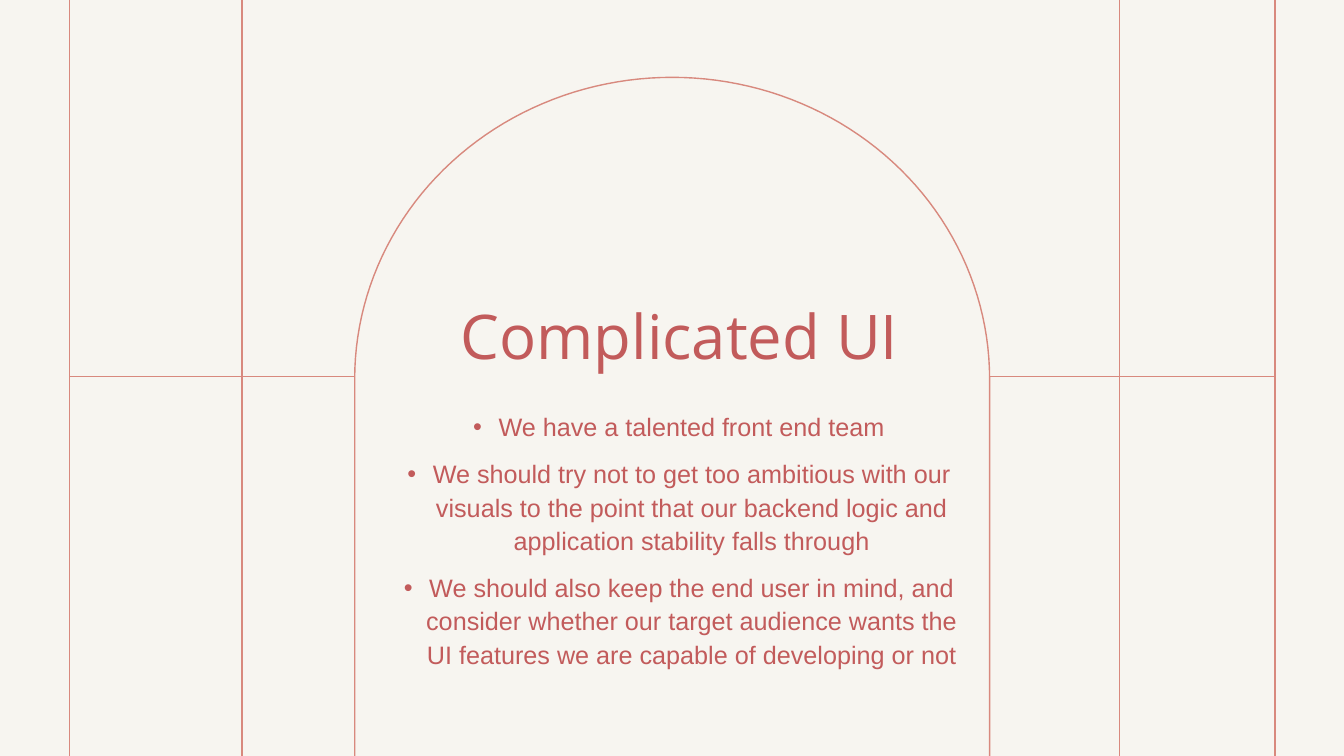
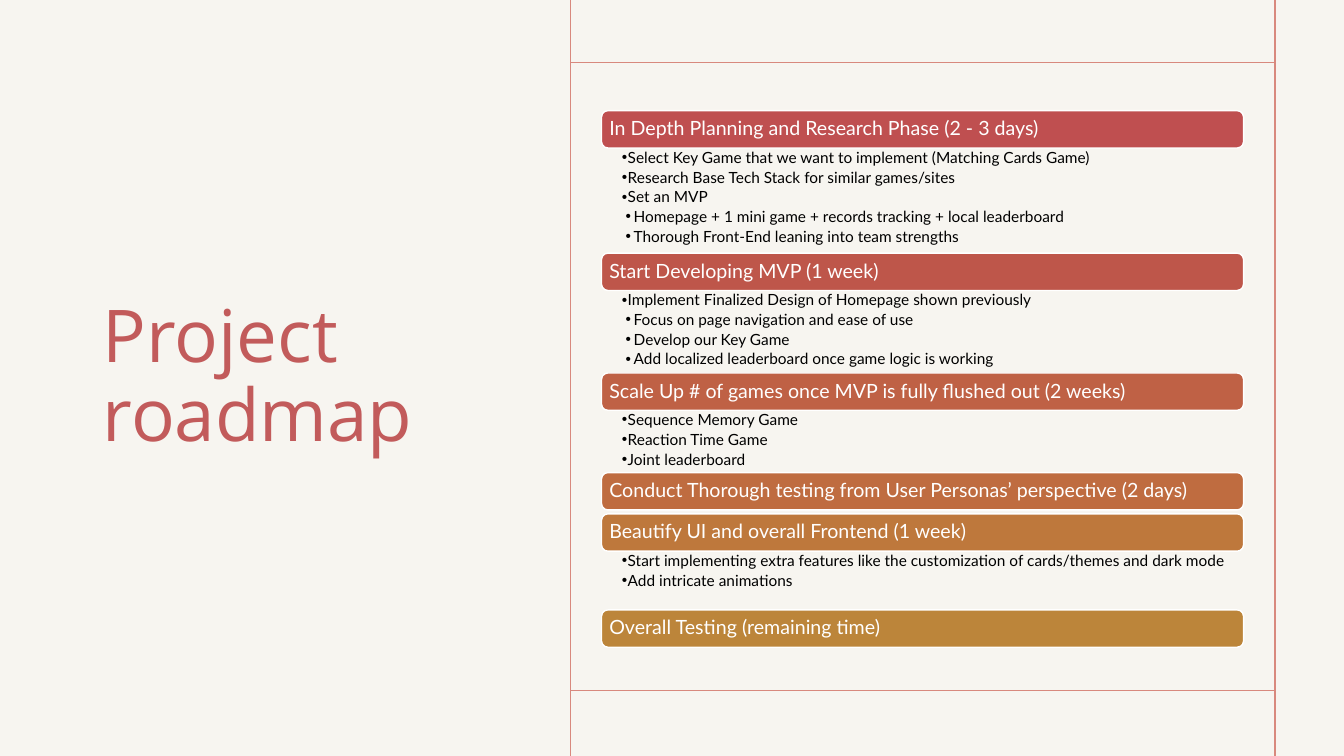
from math import cos, pi, sin

from lxml.etree import SubElement
from pptx import Presentation
from pptx.dml.color import RGBColor
from pptx.enum.shapes import MSO_CONNECTOR, MSO_SHAPE
from pptx.enum.text import MSO_ANCHOR, MSO_AUTO_SIZE, PP_ALIGN
from pptx.oxml.ns import qn
from pptx.util import Cm, Pt

WIDE, HIGH = 33.87, 19.05
PAGE = (0, 0, WIDE, HIGH)
INK = {
    "paper": "F7F5F0",
    "line": "D8897E",
    "title": "C25B5B",
    "text": "000000",
    "white": "FFFFFF",
}
HEAD, BODY, LABEL = "Open Sans", "Arial", "Lato"

POINTS = [
    "We have a talented front end team",
    "We should try not to get too ambitious with our visuals to the point "
    "that our backend logic and application stability falls through",
    "We should also keep the end user in mind, and consider whether our "
    "target audience wants the UI features we are capable of developing or not",
]

# Each phase: bar colour, heading, space below the bar in cm, (level, item) pairs
PHASES = [
    ("BF4F50", "In Depth Planning and Research Phase (2 - 3 days)", 2.65, [
        (1, "Select Key Game that we want to implement (Matching Cards Game)"),
        (1, "Research Base Tech Stack for similar games/sites"),
        (1, "Set an MVP"),
        (2, "Homepage + 1 mini game + records tracking + local leaderboard"),
        (2, "Thorough Front-End leaning into team strengths"),
    ]),
    ("BE564A", "Start Developing MVP (1 week)", 2.08, [
        (1, "Implement Finalized Design of Homepage shown previously"),
        (2, "Focus on page navigation and ease of use"),
        (2, "Develop our Key Game"),
        (2, "Add localized leaderboard once game logic is working"),
    ]),
    ("BF6145", "Scale Up # of games once MVP is fully flushed out (2 weeks)", 1.57, [
        (1, "Sequence Memory Game"),
        (1, "Reaction Time Game"),
        (1, "Joint leaderboard"),
    ]),
    ("BF6C40", "Conduct Thorough testing from User Personas’ perspective (2 days)",
     0.1, []),
    ("BE783C", "Beautify UI and overall Frontend (1 week)", 1.48, [
        (1, "Start implementing extra features like the customization of "
            "cards/themes and dark mode"),
        (1, "Add intricate animations"),
    ]),
    ("BC853A", "Overall Testing (remaining time)", 0, []),
]


def tint(code):
    return RGBColor.from_string(code)


def cms(box):
    return [Cm(size) for size in box]


def stroke(line, code):
    line.color.rgb = tint(code)
    line.width = Pt(1)


def rule(slide, x1, y1, x2, y2):
    """Draw one thin line of the grid."""
    line = slide.shapes.add_connector(
        MSO_CONNECTOR.STRAIGHT, *cms((x1, y1, x2, y2)))
    stroke(line.line, INK["line"])
    SubElement(line._element.spPr, qn("a:effectLst"))


def style(frame, font, size, code, align=PP_ALIGN.LEFT, space=0.9, gap=0):
    """Format all text; gap is the space in points between paragraphs."""
    for spot, para in enumerate(frame.paragraphs):
        para.alignment = align
        para.line_spacing = space
        para.space_before = Pt(gap if spot else 0)
        for run in para.runs:
            run.font.name = font
            run.font.size = Pt(size)
            run.font.color.rgb = tint(code)


def inset(frame, left, top, right, low):
    frame.word_wrap = True
    frame.auto_size = MSO_AUTO_SIZE.NONE
    frame.margin_left, frame.margin_top = Cm(left), Cm(top)
    frame.margin_right, frame.margin_bottom = Cm(right), Cm(low)


def bullet(para, left, hang):
    props = para._p.get_or_add_pPr()
    props.set("marL", str(Cm(left)))
    props.set("indent", str(-Cm(hang)))
    SubElement(props, qn("a:buFont")).set("typeface", "Arial")
    SubElement(props, qn("a:buChar")).set("char", "•")


def title(slide, box, text, size, align, anchor):
    shape = slide.shapes.title
    shape.left, shape.top, shape.width, shape.height = cms(box)
    frame = shape.text_frame
    frame.text = text
    frame.vertical_anchor = anchor
    inset(frame, 0.25, 0.13, 0.25, 0.13)
    style(frame, HEAD, size, INK["title"], align)


def block(slide, box, items):
    """Add a text box with one paragraph for each item."""
    frame = slide.shapes.add_textbox(*cms(box)).text_frame
    frame.text = "\n".join(items)
    return frame


def arch(slide, box):
    """Draw an open arch: half an ellipse standing on two legs."""
    left, top, width, height = box
    rad, rise = width / 2, 7.6
    curve = [(left + rad - rad * cos(pi * step / 90),
              top + rise - rise * sin(pi * step / 90)) for step in range(91)]
    low = top + height
    pen = slide.shapes.build_freeform(Cm(left), Cm(low))
    dots = curve + [(left + width, low)]
    pen.add_line_segments([(Cm(x), Cm(y)) for x, y in dots], close=False)
    shape = pen.convert_to_shape()
    shape.shadow.inherit = False
    shape.fill.background()
    stroke(shape.line, INK["line"])


def arcade(slide, box):
    """Draw the arch and the grid on both sides of it."""
    left, top, width, height = box
    start, end = left + 8.94, left + 24.94
    edge, far = left + 1.75, left + 32.13
    for x in (edge, left + 6.1, left + 28.22, far):
        rule(slide, x, top, x, top + height)
    for x1, x2 in ((edge, start), (end, far)):
        rule(slide, x1, top + 9.48, x2, top + 9.48)
    arch(slide, (start, top + 1.95, end - start, height - 1.95))


def points(slide, box, items):
    frame = block(slide, box, items)
    inset(frame, 0.25, 0.13, 0.25, 0.13)
    style(frame, BODY, 18, INK["title"], PP_ALIGN.CENTER, 1.1, 10)
    for para in frame.paragraphs:
        bullet(para, 0.64, 0.64)


def panel(slide, box):
    """Rule off a box with side lines that run over the full page height."""
    left, top, width, height = box
    for y in (top, top + height):
        rule(slide, left, y, left + width, y)
    for x in (left, left + width):
        rule(slide, x, 0, x, HIGH)


def bar(slide, box, code, text):
    shape = slide.shapes.add_shape(MSO_SHAPE.ROUNDED_RECTANGLE, *cms(box))
    shape.adjustments[0] = 0.17
    shape.shadow.inherit = False
    shape.fill.solid()
    shape.fill.fore_color.rgb = tint(code)
    stroke(shape.line, INK["white"])
    frame = shape.text_frame
    frame.text = text
    frame.vertical_anchor = MSO_ANCHOR.MIDDLE
    inset(frame, 0.15, 0, 0.15, 0)
    style(frame, LABEL, 14, INK["white"])


def tasks(slide, box, items):
    frame = block(slide, box, [text for _, text in items])
    inset(frame, 0.51, 0.05, 0.28, 0.05)
    style(frame, LABEL, 11, INK["text"], gap=2.2)
    for para, (level, _) in zip(frame.paragraphs, items):
        para.level = level
        bullet(para, 0.15 * level, 0.2)


def phases(slide, box, steps):
    """Stack the phase bars, each with its tasks below."""
    left, top, width, _ = box
    thick = 0.94
    for code, head, room, items in steps:
        bar(slide, (left, top, width, thick), code, head)
        top += thick
        if items:
            tasks(slide, (left, top, width, room), items)
        top += room


def advice(slide):
    arcade(slide, PAGE)
    title(slide, (9.75, 5.23, 14.76, 4.29), "Complicated UI", 44,
          PP_ALIGN.CENTER, MSO_ANCHOR.BOTTOM)
    points(slide, (9.73, 10.16, 14.76, 7.24), POINTS)


def roadmap(slide):
    title(slide, (2.34, 1.63, 11.33, 15.82), "Project roadmap", 52,
          PP_ALIGN.LEFT, MSO_ANCHOR.MIDDLE)
    panel(slide, (14.38, 1.57, 17.75, 15.83))
    phases(slide, (15.16, 2.79, 16.18, 13.52), PHASES)


def main():
    deck = Presentation()
    deck.slide_width, deck.slide_height = Cm(WIDE), Cm(HIGH)
    fill = deck.slide_master.background.fill
    fill.solid()
    fill.fore_color.rgb = tint(INK["paper"])
    for build in (advice, roadmap):
        build(deck.slides.add_slide(deck.slide_layouts[5]))
    deck.save("out.pptx")


if __name__ == "__main__":
    main()
